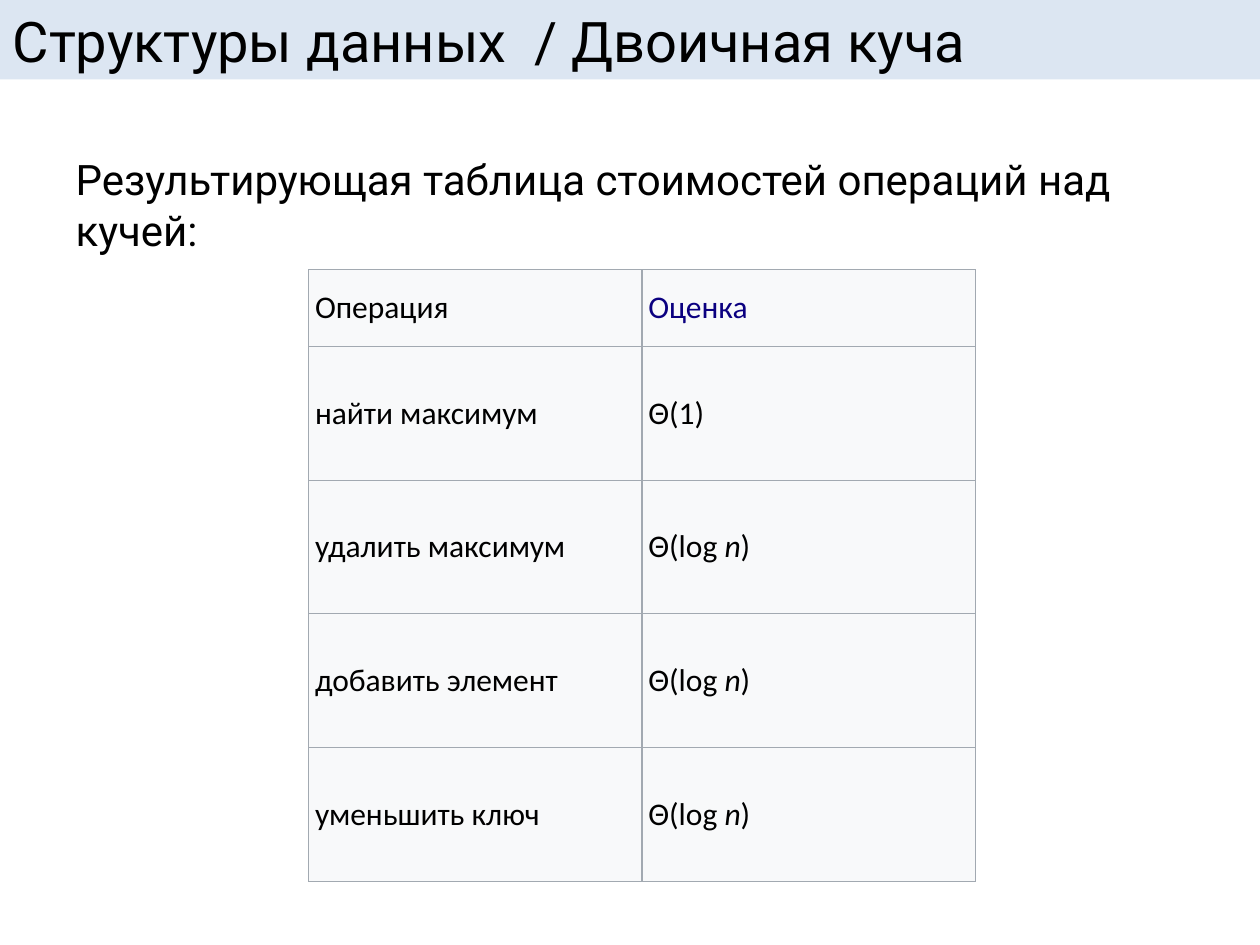
from lxml import etree
from pptx import Presentation
from pptx import util as u
from pptx.dml.color import RGBColor
from pptx.enum import text
from pptx.oxml import ns

Pt = u.Pt


def color(fmt, value):
    fmt.rgb = RGBColor.from_string(value)


def add_text(p, words, size, font, fill, italic=False):
    r = p.add_run()
    r.text = words
    for name, value in {"size": Pt(size), "name": font, "italic": italic}.items():
        setattr(r.font, name, value)
    color(r.font.color, fill)


prs = Presentation()
prs.slide_width, prs.slide_height = Pt(720), Pt(540)
s = prs.slides.add_slide(prs.slide_layouts[1])

title, body = s.placeholders
placeholders = [
    (title, (0, 0, 720, 45.36), "Структуры данных  / Двоичная куча", 32, text.MSO_ANCHOR.MIDDLE),
    (body, (36, 84.24, 648, 398.16), "Результирующая таблица стоимостей операций над кучей:", 24, text.MSO_ANCHOR.TOP),
]
for sp, box, words, size, anchor in placeholders:
    for name, value in zip(("left", "top", "width", "height"), box):
        setattr(sp, name, Pt(value))
    tf = sp.text_frame
    for name, value in {"word_wrap": True, "auto_size": text.MSO_AUTO_SIZE.NONE, "vertical_anchor": anchor}.items():
        setattr(tf, name, value)
    p = tf.paragraphs[0]
    p.alignment = text.PP_ALIGN.LEFT
    add_text(p, words, size, "Roboto", "000000")

title.fill.solid()
color(title.fill.fore_color, "DCE6F2")

p = body.text_frame.paragraphs[0]
p.space_before = Pt(4.8)
pPr = p._p.get_or_add_pPr()
pPr.set("marL", "0")
pPr.set("indent", "0")
etree.SubElement(pPr, ns.qn("a:buNone"))

log_n = ["Θ(log ", "n", ")"]
rows = [
    ("Операция", ["Оценка"]),
    ("найти максимум", ["Θ(1)"]),
    ("удалить максимум", log_n),
    ("добавить элемент", log_n),
    ("уменьшить ключ", log_n),
]
table = s.shapes.add_table(len(rows), 2, Pt(176.4), Pt(154.08), Pt(381), Pt(349.2)).table
for col in table.columns:
    col.width = Pt(190.5)

cell_format = {"vertical_anchor": text.MSO_ANCHOR.MIDDLE}
for side in ("left", "right", "top", "bottom"):
    cell_format["margin_" + side] = Pt(3.6)

for i, (operation, cost) in enumerate(rows):
    table.rows[i].height = Pt(76.4 if i else 43.9)
    for j, parts in enumerate(([operation], cost)):
        cell = table.cell(i, j)
        for name, value in cell_format.items():
            setattr(cell, name, value)
        tcPr = cell._tc.get_or_add_tcPr()
        for tag in ("a:lnL", "a:lnR", "a:lnT", "a:lnB"):
            ln = etree.SubElement(tcPr, ns.qn(tag), w=str(Pt(0.75)))
            fill = etree.SubElement(ln, ns.qn("a:solidFill"))
            etree.SubElement(fill, ns.qn("a:srgbClr"), val="A2A9B1")
        cell.fill.solid()
        color(cell.fill.fore_color, "F8F9FA")
        for part in parts:
            ink = "0B0080" if part == "Оценка" else "000000"
            add_text(cell.text_frame.paragraphs[0], part, 18, "Calibri", ink, part == "n")

prs.save("out.pptx")
